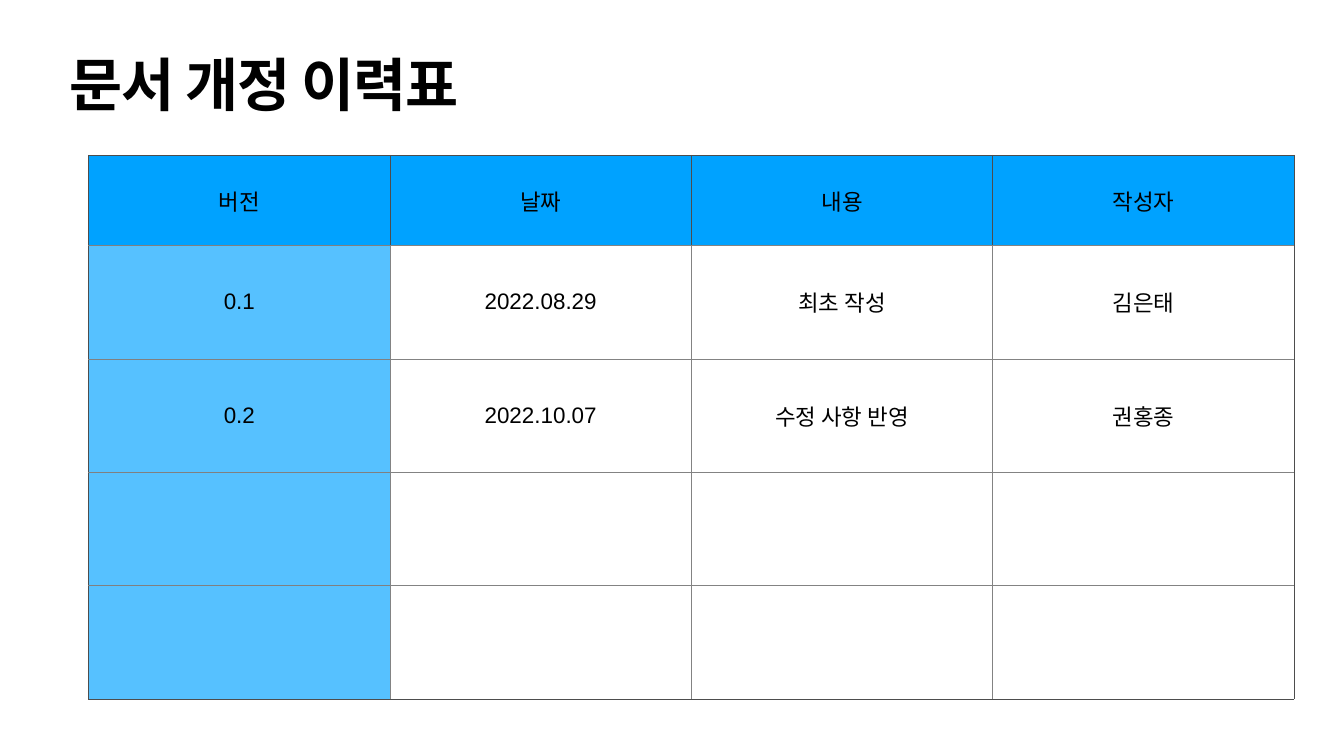
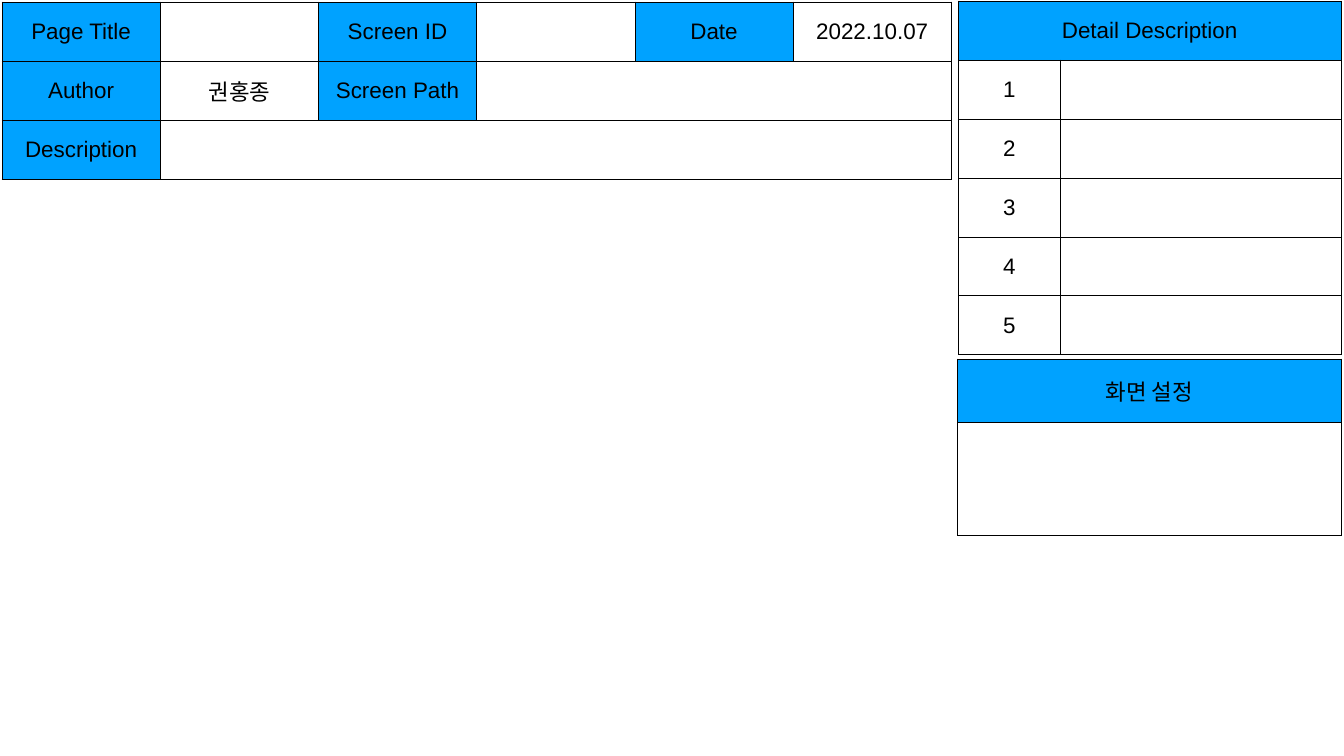
from pptx import Presentation
from pptx.dml.color import RGBColor
from pptx.enum import text
from pptx.oxml import parse_xml
from pptx.oxml.ns import nsdecls
from pptx.util import Inches, Pt

FONT = "Arial"
BLACK = RGBColor(0x00, 0x00, 0x00)
BLUE = RGBColor(0x00, 0xA2, 0xFF)
LIGHT_BLUE = RGBColor(0x56, 0xC1, 0xFF)
FRAME_GRAY = RGBColor(0x4D, 0x4D, 0x4D)
VERSION_GRAY = RGBColor(0x80, 0x80, 0x80)
GRID_GRAY = RGBColor(0x83, 0x83, 0x83)
INSET = Inches(0.06)
TITLE_ONLY, BLANK = 5, 6
ALL_BLACK = dict.fromkeys("LRTB", BLACK)


def set_insets(target):
    target.margin_left = target.margin_right = INSET
    target.margin_top = target.margin_bottom = INSET


def style_font(font, size, bold=False):
    font.name, font.size, font.bold = FONT, Pt(size), bold
    font.color.rgb = BLACK


def style_cell(cell, words, fill, borders):
    """Format one cell; borders maps the sides L, R, T, B to colours."""
    properties = cell._tc.get_or_add_tcPr()
    for side, color in borders.items():
        properties.append(parse_xml(
            f'<a:ln{side} {nsdecls("a")} w="12700"><a:solidFill>'
            f'<a:srgbClr val="{color}"/></a:solidFill></a:ln{side}>'))
    if fill is None:
        cell.fill.background()
    else:
        cell.fill.solid()
        cell.fill.fore_color.rgb = fill
    cell.vertical_anchor = text.MSO_ANCHOR.MIDDLE
    set_insets(cell)
    if words:
        para = cell.text_frame.paragraphs[0]
        para.text = words
        para.alignment = text.PP_ALIGN.CENTER
        style_font(para.runs[0].font, 32)


def add_grid(page, left, top, widths, heights, rows, fill_of,
             borders_of=lambda row, column: ALL_BLACK, merges=()):
    """Add a table; merges lists (row, first column, last column)."""
    table = page.shapes.add_table(
        len(heights), len(widths), Inches(left), Inches(top),
        Inches(sum(widths)), Inches(sum(heights))).table
    table.first_row = table.horz_banding = False
    for column, width in zip(table.columns, widths):
        column.width = Inches(width)
    for row, height in zip(table.rows, heights):
        row.height = Inches(height)
    for row, labels in enumerate(rows):
        for column, words in enumerate(labels):
            style_cell(table.cell(row, column), words,
                       fill_of(row, column), borders_of(row, column))
    for row, first, last in merges:
        table.cell(row, first).merge(table.cell(row, last))


def header_fill(row, column):
    return BLUE if row == 0 else None


def add_title(page, words, left, top, width, height):
    title = page.shapes.title
    title.left, title.top = Inches(left), Inches(top)
    title.width, title.height = Inches(width), Inches(height)
    frame = title.text_frame
    frame.text = words
    frame.word_wrap = True
    frame.auto_size = text.MSO_AUTO_SIZE.NONE
    frame.vertical_anchor = text.MSO_ANCHOR.TOP
    set_insets(frame)
    para = frame.paragraphs[0]
    para.alignment = text.PP_ALIGN.LEFT
    para.line_spacing = 0.8
    span = para.runs[0]
    style_font(span.font, 82.5, bold=True)
    span._r.get_or_add_rPr().set("spc", "-160")


def add_history_table(page, left, top):
    rows = [
        ("버전", "날짜", "내용", "작성자"),
        ("0.1", "2022.08.29", "최초 작성", "김은태"),
        ("0.2", "2022.10.07", "수정 사항 반영", "권홍종"),
        ("",) * 4,
        ("",) * 4,
    ]
    last_row, last_column = len(rows) - 1, len(rows[0]) - 1

    def fill_of(row, column):
        if row == 0:
            return BLUE
        return LIGHT_BLUE if column == 0 else None

    def borders_of(row, column):
        if row == 0:
            return dict.fromkeys("LRTB", FRAME_GRAY)
        inner = VERSION_GRAY if column == 0 else GRID_GRAY
        return {
            "L": FRAME_GRAY if column == 0 else inner,
            "R": FRAME_GRAY if column == last_column else inner,
            "T": inner,
            "B": FRAME_GRAY if row == last_row else inner,
        }

    add_grid(page, left, top, [5.98] * 4, [1.79] + [2.25] * 4, rows,
             fill_of, borders_of)


def add_page_info(page, left, top):
    rows = [
        ("Page Title", "", "Screen ID", "", "Date", "2022.10.07"),
        ("Author", "권홍종", "Screen Path", "", "", ""),
        ("Description", "", "", "", "", ""),
    ]

    def fill_of(row, column):
        is_label = column % 2 == 0 and rows[row][column]
        return BLUE if is_label else None

    add_grid(page, left, top, [3.14] * 6, [1.17] * 3, rows, fill_of,
             merges=[(1, 3, 5), (2, 1, 5)])


def add_detail_table(page, left, top):
    rows = [("Detail Description", "")]
    rows += [(str(number), "") for number in range(1, 6)]
    add_grid(page, left, top, [2.02, 5.57], [1.17] * 6, rows, header_fill,
             merges=[(0, 0, 1)])


def add_screen_settings(page, left, top):
    add_grid(page, left, top, [7.62], [1.26, 2.24],
             [("화면 설정",), ("",)], header_fill)


def build_history_page(deck):
    page = deck.slides.add_slide(deck.slide_layouts[TITLE_ONLY])
    add_title(page, "문서 개정 이력표", 1.32, 1.18, 24.03, 1.57)
    add_history_table(page, 1.76, 3.08)


def build_screen_page(deck):
    page = deck.slides.add_slide(deck.slide_layouts[BLANK])
    add_page_info(page, 0.04, 0.04)
    add_detail_table(page, 19.02, 0.02)
    add_screen_settings(page, 19, 7.12)


def main():
    deck = Presentation()
    deck.slide_width, deck.slide_height = Inches(26.67), Inches(15)
    build_history_page(deck)
    build_screen_page(deck)
    deck.save("out.pptx")


if __name__ == "__main__":
    main()
